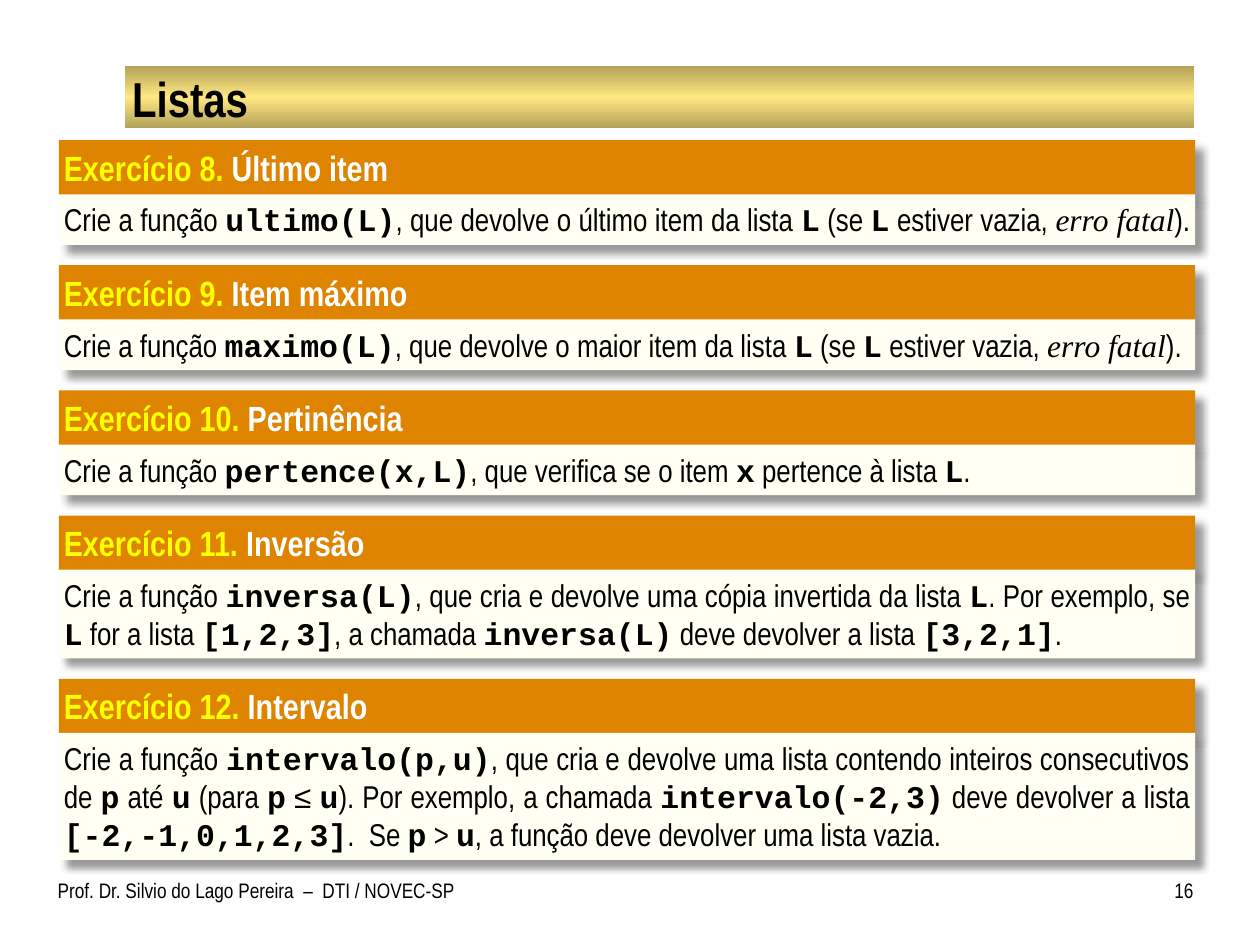
from lxml.etree import SubElement
from pptx import Presentation
from pptx.dml.color import RGBColor
from pptx.enum.shapes import MSO_SHAPE
from pptx.enum.text import MSO_ANCHOR, MSO_AUTO_SIZE, PP_ALIGN
from pptx.oxml import parse_xml
from pptx.oxml.ns import nsdecls, qn
from pptx.util import Pt

COLORS = {
    "black": "000000", "white": "FFFFFF", "yellow": "FFFF00",
    "orange": "DE8400", "cream": "FFFFF3", "gold": "FFE781", "dark gold": "B3A25A",
}
SANS, MONO, SERIF = "Arial Narrow", "Courier New", "Times New Roman"

HEADER_HEIGHT, LINE_HEIGHT, BODY_PADDING, GAP = 30.9, 21.8, 7.2, 11.6

# (number, title, lines of text, text with `code` and *emphasis*)
EXERCISES = [
    (8, "Último item", 1,
     "Crie a função `ultimo(L)`, que devolve o último item da lista `L`"
     " (se `L` estiver vazia, *erro fatal*). "),
    (9, "Item máximo", 1,
     "Crie a função `maximo(L)`, que devolve o maior item da lista `L`"
     " (se `L` estiver vazia, *erro fatal*). "),
    (10, "Pertinência", 1,
     "Crie a função `pertence(x,L)`, que verifica se o item `x` pertence à lista `L`."),
    (11, "Inversão", 2,
     "Crie a função `inversa(L)`, que cria e devolve uma cópia invertida da lista `L`. "
     "Por exemplo, se `L` for a lista `[1,2,3]`, a chamada `inversa(L)` "
     "deve devolver a lista `[3,2,1]`."),
    (12, "Intervalo", 3,
     "Crie a função `intervalo(p,u)`, que cria e devolve uma lista contendo inteiros "
     "consecutivos de `p` até `u` (para `p` ≤ `u`). Por exemplo, a chamada "
     "`intervalo(-2,3)` deve devolver a lista `[-2,-1,0,1,2,3]`.  Se `p` > `u`, "
     "a função deve devolver uma lista vazia."),
]


def add_span(para, text, size=18, font=SANS, color="black", bold=False, italic=False):
    span = para.add_run()
    span.text = text
    span.font.size = Pt(size)
    span.font.name = font
    span.font.bold = bold
    span.font.italic = italic
    span.font.color.rgb = RGBColor.from_string(COLORS[color])


def add_marked_text(para, text):
    for i, part in enumerate(text.split("`")):
        if i % 2:
            add_span(para, part, font=MONO, bold=True)
            continue
        for j, piece in enumerate(part.split("*")):
            if piece:
                add_span(para, piece, font=SERIF if j % 2 else SANS, italic=bool(j % 2))


def set_frame(shape, insets, align=PP_ALIGN.LEFT, anchor=MSO_ANCHOR.TOP):
    """Format the text frame and return its first paragraph."""
    frame = shape.text_frame
    frame.word_wrap = True
    frame.vertical_anchor = anchor
    frame.margin_left, frame.margin_top, frame.margin_right, frame.margin_bottom = map(Pt, insets)
    para = frame.paragraphs[0]
    para.alignment = align
    return para


def add_panel(group, left, top, width, height, color):
    panel = group.shapes.add_shape(
        MSO_SHAPE.RECTANGLE, Pt(left), Pt(top), Pt(width), Pt(height))
    panel.fill.solid()
    panel.fill.fore_color.rgb = RGBColor.from_string(COLORS[color])
    panel.line.fill.background()
    panel.shadow.inherit = False
    # Soft shadow towards the lower right
    effects = panel._element.spPr.find(qn("a:effectLst"))
    shadow = SubElement(effects, qn("a:outerShdw"), blurRad=str(Pt(4)), dist=str(Pt(6)),
                        dir="2700000", algn="tl", rotWithShape="0")
    shade = SubElement(shadow, qn("a:srgbClr"), val=COLORS["black"])
    SubElement(shade, qn("a:alpha"), val="40000")
    panel.text_frame.auto_size = MSO_AUTO_SIZE.SHAPE_TO_FIT_TEXT
    return panel


def add_title(page, text, left, top, width, height):
    # Gold band, darker at its upper and lower edges
    band = page.shapes.add_shape(
        MSO_SHAPE.RECTANGLE, Pt(left), Pt(top), Pt(width), Pt(height))
    band.shadow.inherit = False
    band.line.fill.background()
    stops = "".join(
        f'<a:gs pos="{position}"><a:srgbClr val="{COLORS[color]}"/></a:gs>'
        for position, color in ((0, "dark gold"), (50000, "gold"), (100000, "dark gold")))
    gradient = parse_xml(
        f'<a:gradFill {nsdecls("a")} rotWithShape="1"><a:gsLst>{stops}</a:gsLst>'
        '<a:lin ang="5400000" scaled="0"/></a:gradFill>')
    band._element.spPr.find(qn("a:prstGeom")).addnext(gradient)

    box = page.shapes.add_textbox(
        Pt(left + 0.5), Pt(top + 1.4), Pt(width - 1), Pt(height - 2))
    para = set_frame(box, (3.6, 0.7, 3.6, 0.7), anchor=MSO_ANCHOR.MIDDLE)
    add_span(para, text, size=28, bold=True)


def add_exercise(page, exercise, left, top, width):
    """Place header and body; return the bottom of the block."""
    number, title, lines, text = exercise
    group = page.shapes.add_group_shape()
    body_top = top + HEADER_HEIGHT
    body_height = BODY_PADDING + LINE_HEIGHT * lines

    header = add_panel(group, left, top, width, HEADER_HEIGHT + 0.5, "orange")
    para = set_frame(header, (2.88, 3.6, 7.2, 3.6))
    add_span(para, f"Exercício {number}.", size=20, color="yellow", bold=True)
    add_span(para, f" {title}", size=20, color="white", bold=True)

    body = add_panel(group, left, body_top, width, body_height, "cream")
    para = set_frame(body, (2.88, 3.6, 2.88, 3.6), align=PP_ALIGN.JUSTIFY)
    para.space_before = Pt(6)
    add_marked_text(para, text)
    return body_top + body_height


def add_footer(page, author, number, left, top, width, height):
    author_box = page.shapes.add_textbox(Pt(left), Pt(top), Pt(235.4), Pt(height))
    add_span(set_frame(author_box, (0, 3.6, 0, 3.6)), author, size=12)

    number_width = 28
    number_box = page.shapes.add_textbox(
        Pt(left + width - number_width), Pt(top), Pt(number_width), Pt(height))
    para = set_frame(number_box, (7.2, 3.6, 0, 3.6), align=PP_ALIGN.RIGHT)
    add_span(para, number, size=12)


def main():
    deck = Presentation()
    deck.slide_width, deck.slide_height = Pt(720), Pt(540)
    page = deck.slides.add_slide(deck.slide_layouts[6])

    add_title(page, "Listas", 71.4, 37.7, 611, 35.5)
    top = 80.1
    for exercise in EXERCISES:
        top = add_exercise(page, exercise, 33.6, top, 649.4) + GAP
    add_footer(page, "Prof. Dr. Silvio do Lago Pereira  –  DTI / NOVEC-SP", "16",
               33, 498.2, 649, 30)

    deck.save("out.pptx")


if __name__ == "__main__":
    main()
